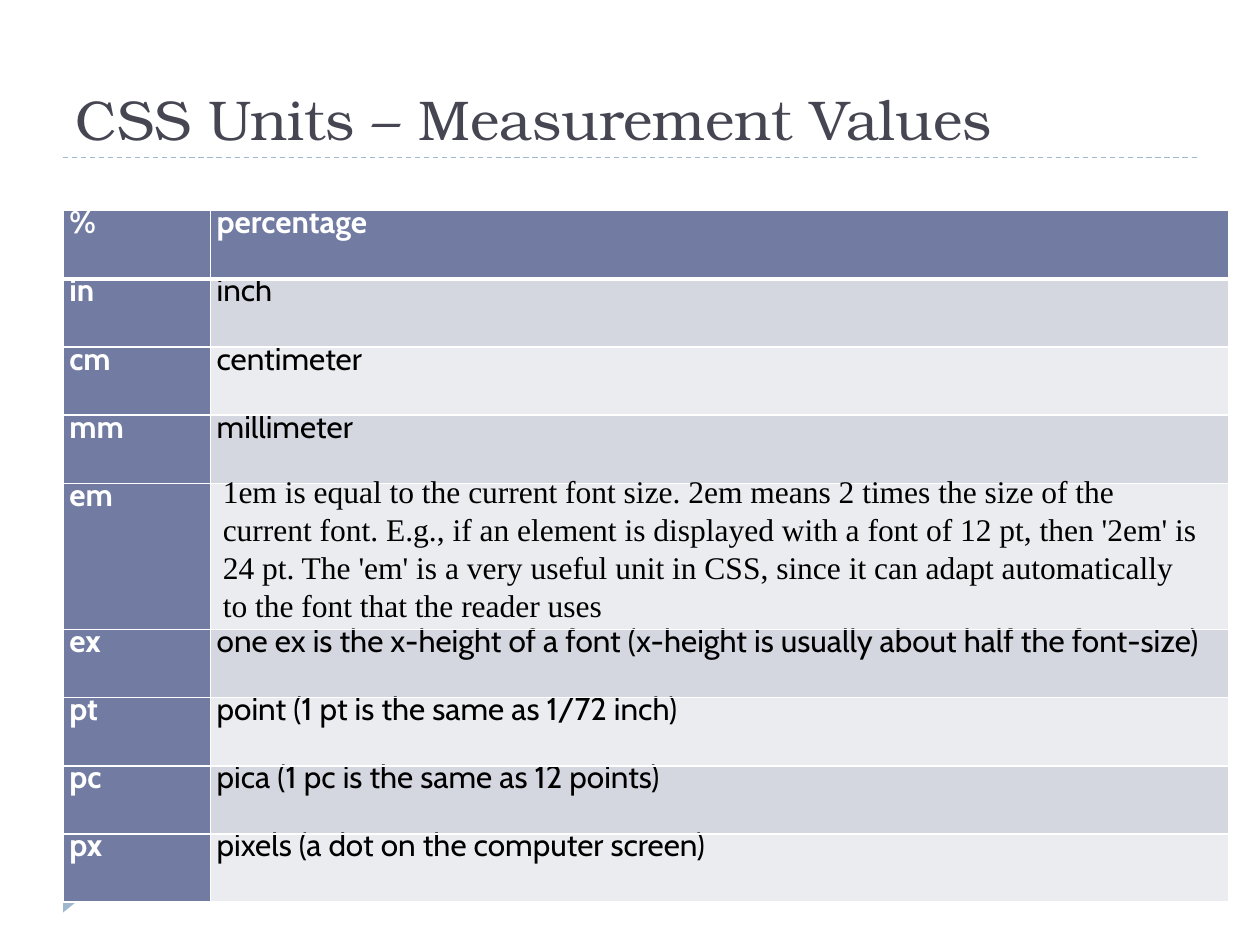
from collections import namedtuple
from dataclasses import dataclass

from lxml import etree
from pptx import Presentation, util as u
from pptx.dml.color import RGBColor
from pptx.enum import dml, shapes, text
from pptx.oxml.ns import qn

Box = namedtuple("Box", "x y w h")


@dataclass(frozen=True)
class Theme:
    title_font: str = "TeX Gyre Bonum"
    table_font: str = "Cabin"
    note_font: str = "Times New Roman"
    title_size: int = 32
    body_size: int = 18
    leading: float = 12.7
    title: str = "464653"
    accent: str = "727CA3"
    rule: str = "9FB8CD"
    bands: tuple = ("EBECF0", "D5D7E0")
    light: str = "FFFFFF"
    dark: str = "000000"


T = Theme()
W, H = u.Inches(10), u.Inches(7.5)

UNITS = [
    ("%", "percentage"),
    ("in", "inch"),
    ("cm", "centimeter"),
    ("mm", "millimeter"),
    ("em", ""),
    ("ex", "one ex is the x-height of a font (x-height is usually about half the font-size)"),
    ("pt", "point (1 pt is the same as 1/72 inch)"),
    ("pc", "pica (1 pc is the same as 12 points)"),
    ("px", "pixels (a dot on the computer screen)"),
]
EM_ROW = 4
EM_NOTE = (
    "1em is equal to the current font size. 2em means 2 times the size of the "
    "current font. E.g., if an element is displayed with a font of 12 pt, then "
    "'2em' is 24 pt. The 'em' is a very useful unit in CSS, since it can adapt "
    "automatically to the font that the reader uses"
)


def share(x, y, w, h):
    return Box(int(W * x), int(H * y), int(W * w), int(H * h))


def rgb(color):
    return RGBColor.from_string(color)


def set_font(p, name, size, color, bold=False):
    p.font.name, p.font.size, p.font.bold = name, u.Pt(size), bold
    p.font.color.rgb = rgb(color)


def add_rule(s, box, at):
    y = box.y + int(box.h * at)
    ln = s.shapes.add_connector(shapes.MSO_CONNECTOR.STRAIGHT, box.x, y, box.x + box.w, y)
    ln.line.color.rgb = rgb(T.rule)
    ln.line.width = u.Pt(0.75)
    ln.line.dash_style = dml.MSO_LINE.DASH
    etree.SubElement(ln._element.spPr, qn("a:effectLst"))


def add_frame(s, box):
    for at in (1, 0):
        add_rule(s, box, at)
    w, h = u.Inches(0.21), u.Inches(0.13)
    left, top = box.x - (w - h) // 2, box.y + box.h + u.Inches(0.12)
    sp = s.shapes.add_shape(shapes.MSO_SHAPE.ISOSCELES_TRIANGLE, left, top, w, h)
    sp.rotation = 90
    sp.shadow.inherit = False
    sp.fill.solid()
    sp.fill.fore_color.rgb = rgb(T.rule)
    sp.line.fill.background()


def add_title(s, box, words):
    sp = s.shapes.title
    sp.left, sp.top, sp.width, sp.height = box
    tf = sp.text_frame
    tf.text = words
    tf.vertical_anchor = text.MSO_ANCHOR.BOTTOM
    tf.auto_size = text.MSO_AUTO_SIZE.NONE
    p = tf.paragraphs[0]
    p.alignment = text.PP_ALIGN.LEFT
    set_font(p, T.title_font, T.title_size, T.title)


def set_borders(cell, **widths):
    pr = cell._tc.get_or_add_tcPr()
    for i, side in enumerate(("L", "R", "T", "B")):
        ln = etree.Element(qn(f"a:ln{side}"), w=str(u.Pt(widths.get(side, 1))))
        fill = etree.SubElement(ln, qn("a:solidFill"))
        etree.SubElement(fill, qn("a:srgbClr"), val=T.light)
        pr.insert(i, ln)


def fill_cell(cell, words, row, col):
    strong = row == 0 or col == 0
    cell.fill.solid()
    cell.fill.fore_color.rgb = rgb(T.accent if strong else T.bands[row % 2])
    cell.margin_left = cell.margin_right = u.Inches(0.05)
    cell.margin_top = cell.margin_bottom = u.Inches(0.07)
    set_borders(cell, T=3 if row == 1 else 1, B=3 if row == 0 else 1)
    p = cell.text_frame.paragraphs[0]
    p.text = words
    p.line_spacing = u.Pt(T.leading)
    set_font(p, T.table_font, T.body_size, T.light if strong else T.dark, strong)


def add_units(s, box):
    tbl = s.shapes.add_table(len(UNITS), 2, *box).table
    first = u.Inches(1.17)
    tbl.columns[0].width, tbl.columns[1].width = first, box.w - first
    tall = u.Inches(1.16)
    low = (box.h - tall) // (len(UNITS) - 1)
    for r, unit in enumerate(UNITS):
        tbl.rows[r].height = tall if r == EM_ROW else low
        for c, words in enumerate(unit):
            fill_cell(tbl.cell(r, c), words, r, c)
    add_note(s, Box(box.x + first, box.y + EM_ROW * low - u.Inches(0.14), int(W * 0.8), u.Inches(1.31)))


def add_note(s, box):
    tf = s.shapes.add_textbox(*box).text_frame
    tf.word_wrap = True
    tf.auto_size = text.MSO_AUTO_SIZE.SHAPE_TO_FIT_TEXT
    p = tf.paragraphs[0]
    p.text = EM_NOTE
    set_font(p, T.note_font, T.body_size, T.dark)


def main():
    prs = Presentation()
    prs.slide_width, prs.slide_height = W, H
    s = prs.slides.add_slide(prs.slide_layouts[5])
    add_frame(s, share(0.05, 0.167, 0.9, 0.76))
    add_title(s, share(0.05, 0.023, 0.9, 0.144), "CSS Units – Measurement Values")
    add_units(s, share(0.05, 0.223, 0.925, 0.732))
    prs.save("out.pptx")


if __name__ == "__main__":
    main()
